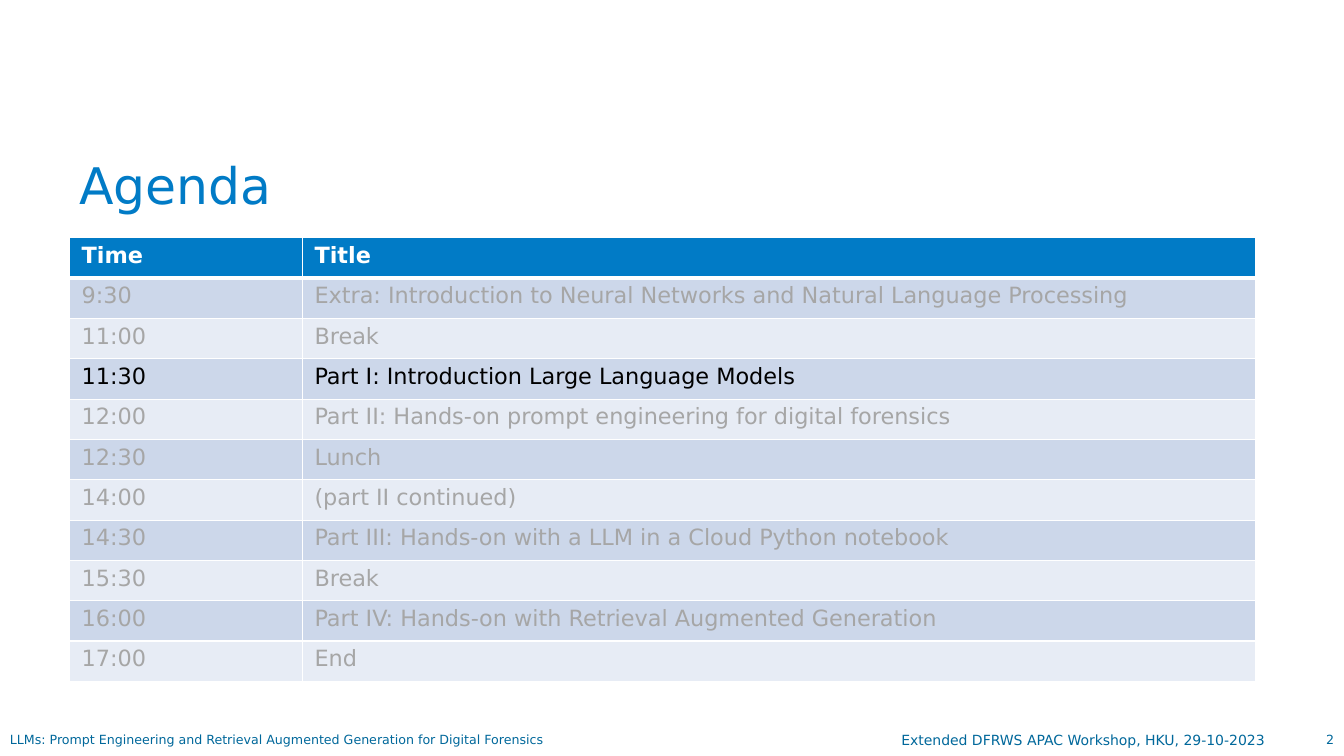
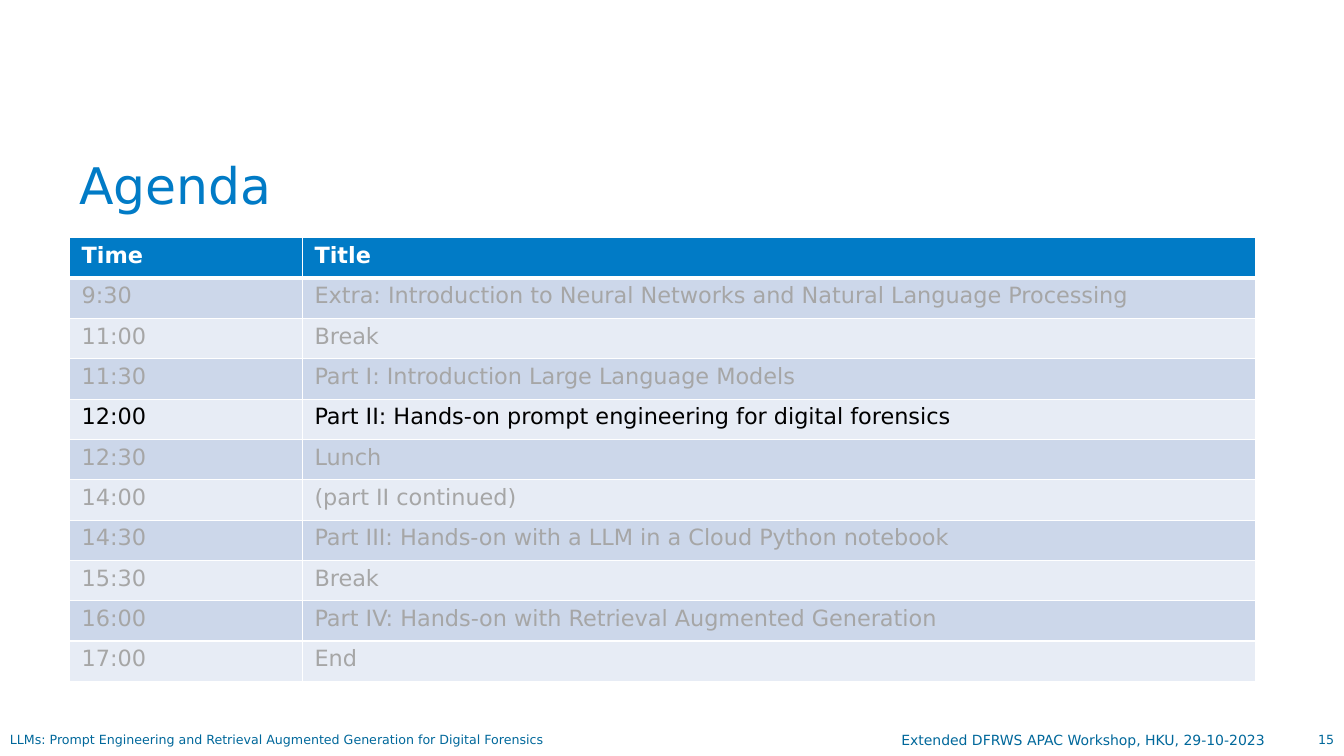
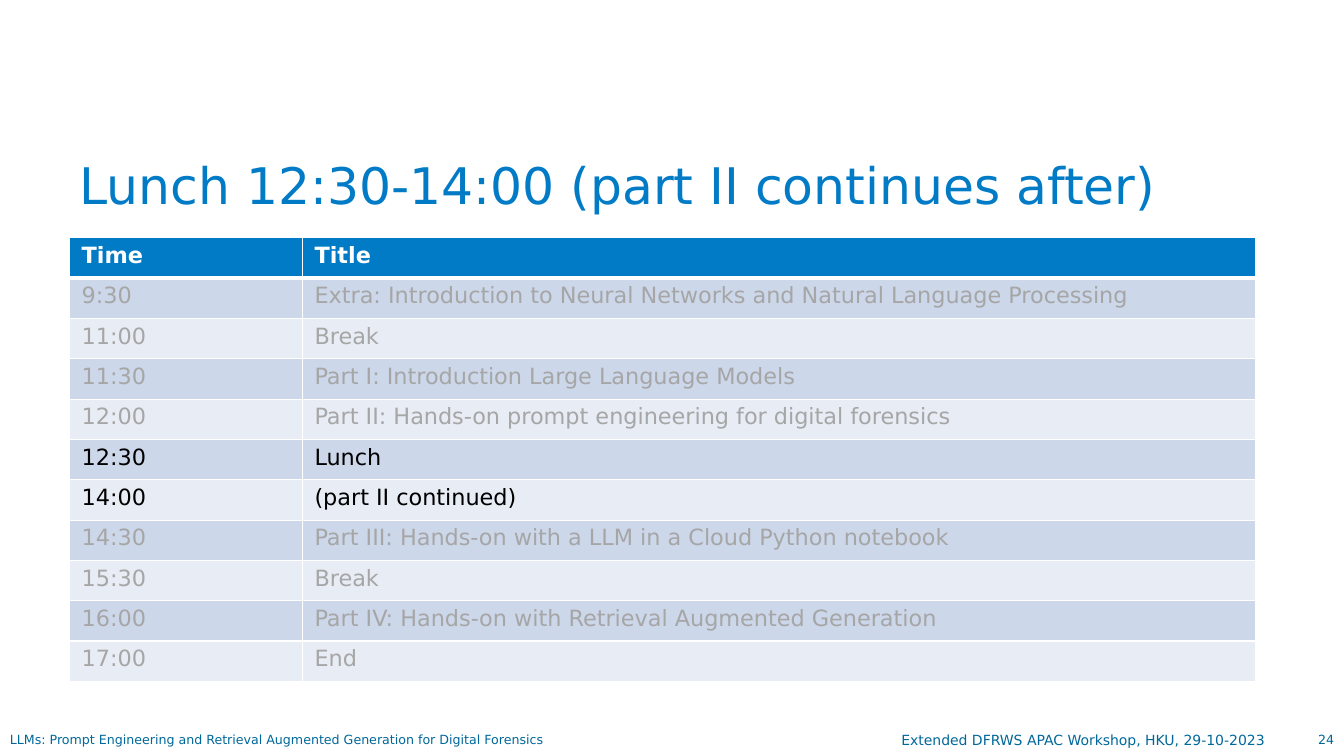
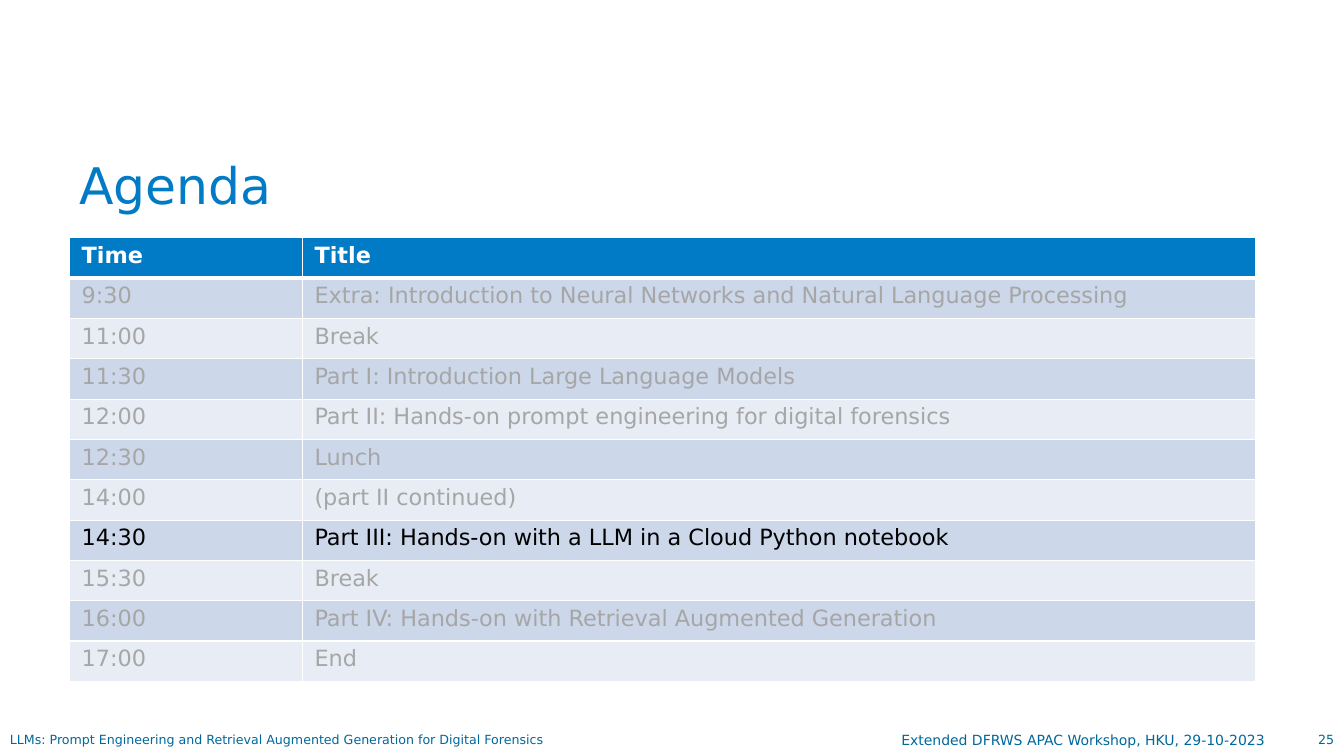
from dataclasses import dataclass

from lxml.etree import SubElement
from pptx import Presentation
from pptx.dml.color import RGBColor
from pptx.enum.text import MSO_ANCHOR, PP_ALIGN
from pptx.oxml import parse_xml
from pptx.oxml.ns import nsdecls, qn
from pptx.util import Pt

EMU_PER_PX = 9144  # 100 px to the inch


def px(n):
    return n * EMU_PER_PX


@dataclass(frozen=True)
class Theme:
    font: str = "DejaVu Sans"
    primary: str = "017BC6"
    footer: str = "01689B"
    muted: str = "A6A6A6"
    active: str = "000000"
    white: str = "FFFFFF"
    bands: tuple = ("CCD7EA", "E7ECF5")
    title_size: int = 36
    table_size: int = 16
    event_size: int = 10
    footer_size: int = 9
    line: int = 1
    header_line: int = 3


THEME = Theme()

# Boxes: left, top, width, height in px
SLIDE_SIZE = (1333, 750)
TITLE_BOX = (69, 115, 1195, 104)
TABLE_BOX = (69, 236, 1176, 440)
FOOTER_BOX = (0, 721, 1333, 29)
TIME_WIDTH = 231

HEADER = ("Time", "Title")
AGENDA = [
    ("9:30", "Extra: Introduction to Neural Networks and Natural Language Processing"),
    ("11:00", "Break"),
    ("11:30", "Part I: Introduction Large Language Models"),
    ("12:00", "Part II: Hands-on prompt engineering for digital forensics"),
    ("12:30", "Lunch"),
    ("14:00", "(part II continued)"),
    ("14:30", "Part III: Hands-on with a LLM in a Cloud Python notebook"),
    ("15:30", "Break"),
    ("16:00", "Part IV: Hands-on with Retrieval Augmented Generation"),
    ("17:00", "End"),
]
FOOTER_TITLE = ("LLMs: Prompt Engineering and Retrieval Augmented Generation "
                "for Digital Forensics")
FOOTER_EVENT = "Extended DFRWS APAC Workshop, HKU, 29-10-2023"

# Title, slide number, highlighted times
SLIDES = [
    ("Agenda", 2, {"11:30"}),
    ("Agenda", 15, {"12:00"}),
    ("Lunch 12:30-14:00 (part II continues after)", 24, {"12:30", "14:00"}),
    ("Agenda", 25, {"14:30"}),
]


def write(tf, text, size, color, bold=False):
    p = tf.paragraphs[0]
    p.text = text
    p.font.name = THEME.font
    p.font.size = Pt(size)
    p.font.bold = bold
    p.font.color.rgb = RGBColor.from_string(color)
    return p


def add_text(s, box, text, size, color, align=PP_ALIGN.LEFT,
             anchor=MSO_ANCHOR.TOP):
    tf = s.shapes.add_textbox(*map(px, box)).text_frame
    tf.word_wrap = True
    tf.vertical_anchor = anchor
    p = write(tf, text, size, color)
    p.alignment = align
    return p


def set_borders(cell, top, bottom):
    """White borders; they precede the fill in the cell properties."""
    tcPr = cell._tc.get_or_add_tcPr()
    sides = {"L": THEME.line, "R": THEME.line, "T": top, "B": bottom}
    for i, (side, width) in enumerate(sides.items()):
        ln = parse_xml(f'<a:ln{side} {nsdecls("a")} w="{Pt(width)}"/>')
        fill = SubElement(ln, qn("a:solidFill"))
        SubElement(fill, qn("a:srgbClr"), val=THEME.white)
        tcPr.insert(i, ln)


def fill_cell(cell, text, fill, color, bold, top, bottom):
    cell.margin_left = cell.margin_right = px(12)
    cell.margin_top = cell.margin_bottom = px(5)
    cell.fill.solid()
    cell.fill.fore_color.rgb = RGBColor.from_string(fill)
    write(cell.text_frame, text, THEME.table_size, color, bold)
    set_borders(cell, top, bottom)


# Title
def add_title(s, box, text):
    p = add_text(s, box, text, THEME.title_size, THEME.primary,
                 anchor=MSO_ANCHOR.BOTTOM)
    p.line_spacing = 0.9


# Footer: talk title, event and slide number
def add_footer(s, box, number):
    x, y, w, h = box
    number_w, event_w, talk_w = 69, 482, 711
    number_x = x + w - number_w
    add_text(s, (x, y, talk_w, h), FOOTER_TITLE, THEME.footer_size, THEME.footer)
    add_text(s, (number_x, y, number_w, h), str(number), THEME.footer_size,
             THEME.footer, PP_ALIGN.RIGHT)
    add_text(s, (number_x - event_w, y, event_w, h), FOOTER_EVENT,
             THEME.event_size, THEME.footer, PP_ALIGN.RIGHT)


# Agenda table with the current rows in black
def add_agenda(s, box, current):
    rows = [HEADER, *AGENDA]
    table = s.shapes.add_table(len(rows), len(HEADER), *map(px, box)).table
    for column, width in zip(table.columns, (TIME_WIDTH, box[2] - TIME_WIDTH)):
        column.width = px(width)
    for i, row in enumerate(rows):
        table.rows[i].height = px(box[3] // len(rows))
        header = i == 0
        if header:
            fill, color = THEME.primary, THEME.white
        else:
            fill = THEME.bands[(i - 1) % 2]
            color = THEME.active if row[0] in current else THEME.muted
        top = THEME.header_line if i == 1 else THEME.line
        bottom = THEME.header_line if header else THEME.line
        for j, text in enumerate(row):
            fill_cell(table.cell(i, j), text, fill, color, header, top, bottom)


def add_agenda_slide(prs, title, number, current):
    s = prs.slides.add_slide(prs.slide_layouts[6])
    add_title(s, TITLE_BOX, title)
    add_footer(s, FOOTER_BOX, number)
    add_agenda(s, TABLE_BOX, current)


def main():
    prs = Presentation()
    prs.slide_width, prs.slide_height = map(px, SLIDE_SIZE)
    for title, number, current in SLIDES:
        add_agenda_slide(prs, title, number, current)
    prs.save("out.pptx")


if __name__ == "__main__":
    main()
